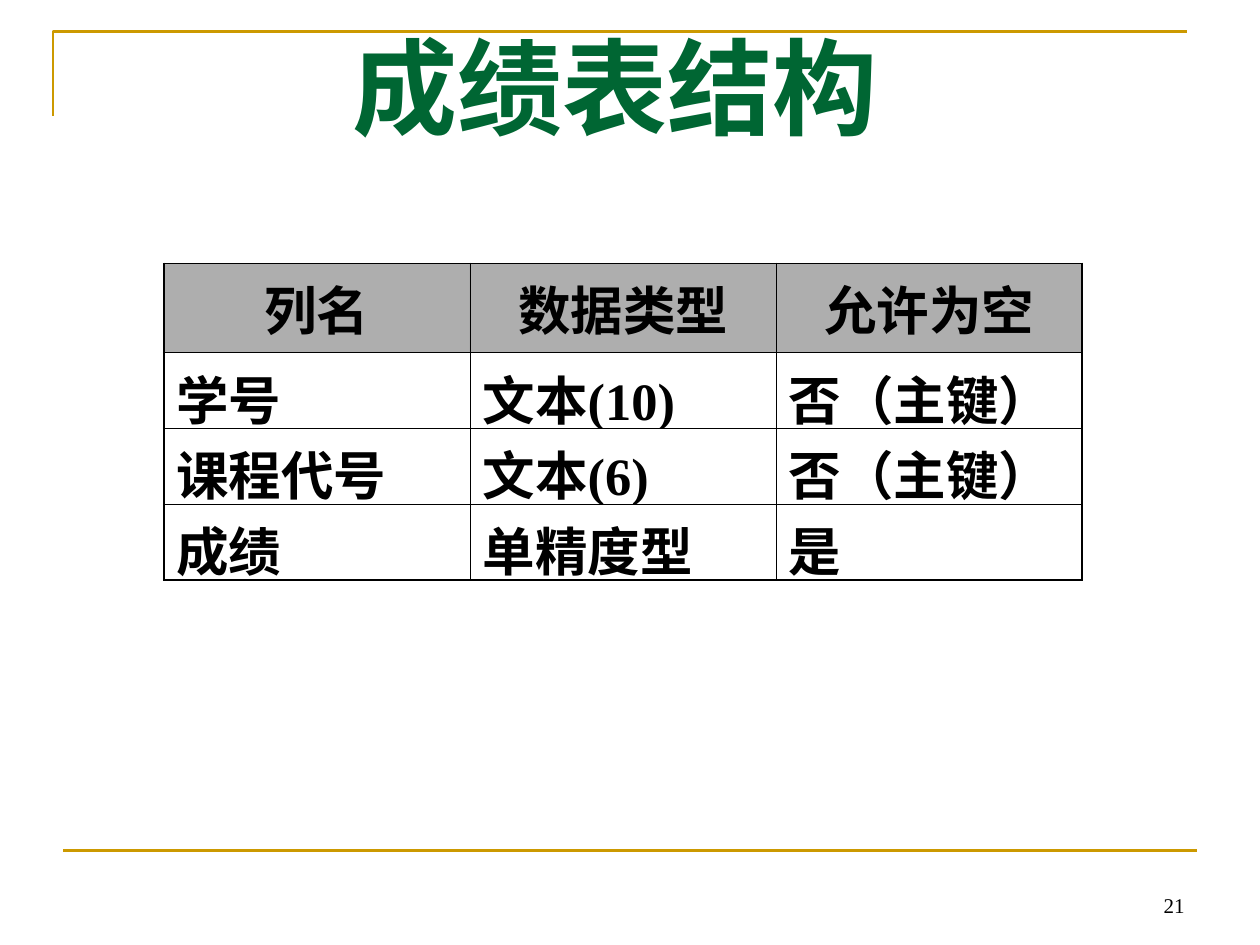
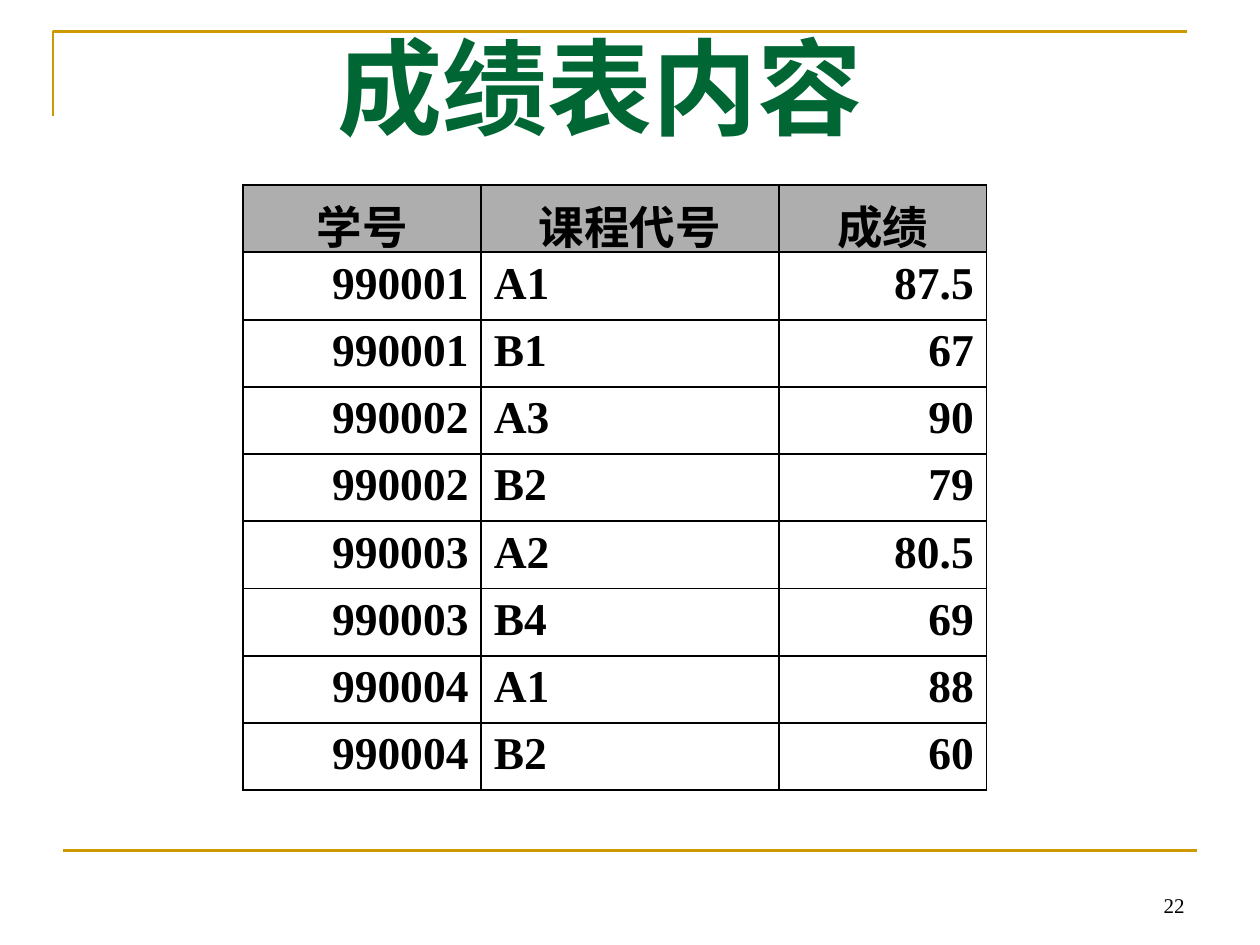
from lxml.etree import SubElement
from pptx import Presentation
from pptx.dml.color import RGBColor
from pptx.enum.shapes import MSO_CONNECTOR
from pptx.enum.text import MSO_ANCHOR, MSO_AUTO_SIZE, PP_ALIGN
from pptx.oxml.ns import qn
from pptx.util import Inches, Pt

GOLD = RGBColor(0xCC, 0x99, 0x00)
GREEN = RGBColor(0x00, 0x66, 0x33)
BLACK = RGBColor(0x00, 0x00, 0x00)
WHITE = RGBColor(0xFF, 0xFF, 0xFF)
HEADER_GREY = RGBColor(0x5F, 0x5F, 0x5F)
TITLE_FONT = "Noto Sans CJK SC"
BODY_FONT = "Times New Roman"
LEFT, CENTER, RIGHT = PP_ALIGN.LEFT, PP_ALIGN.CENTER, PP_ALIGN.RIGHT
THIN, MEDIUM, THICK = Pt(0.45), Pt(1.08), Pt(1.25)

STRUCTURE_ROWS = [
    ("列名", "数据类型", "允许为空"),
    ("学号", "文本(10)", "否（主键）"),
    ("课程代号", "文本(6)", "否（主键）"),
    ("成绩", "单精度型", "是"),
]
SCORE_ROWS = [
    ("学号", "课程代号", "成绩"),
    ("990001", "A1", "87.5"),
    ("990001", "B1", "67"),
    ("990002", "A3", "90"),
    ("990002", "B2", "79"),
    ("990003", "A2", "80.5"),
    ("990003", "B4", "69"),
    ("990004", "A1", "88"),
    ("990004", "B2", "60"),
]


def add_span(para, text, size, font=BODY_FONT, color=BLACK, bold=True):
    span = para.add_run()
    span.text = text
    span.font.name = font
    span.font.size = Pt(size)
    span.font.bold = bold
    span.font.color.rgb = color
    return span


def add_frame(page):
    builder = page.shapes.build_freeform(Inches(0.42), Inches(0.92))
    builder.add_line_segments(
        [(Inches(0.42), Inches(0.25)), (Inches(9.42), Inches(0.25))], close=False)
    corner = builder.convert_to_shape()
    corner.shadow.inherit = False
    corner.fill.background()
    rule = page.shapes.add_connector(
        MSO_CONNECTOR.STRAIGHT, Inches(0.5), Inches(6.75), Inches(9.5), Inches(6.75))
    SubElement(rule._element.spPr, qn("a:effectLst"))
    for edge in (corner, rule):
        edge.line.color.rgb = GOLD
        edge.line.width = Pt(1.5)


def add_page_number(page, number):
    box = page.shapes.add_textbox(Inches(7.17), Inches(6.83), Inches(2.33), Inches(0.5))
    box.text_frame.word_wrap = True
    box.text_frame.vertical_anchor = MSO_ANCHOR.BOTTOM
    para = box.text_frame.paragraphs[0]
    para.alignment = RIGHT
    add_span(para, str(number), 12, bold=False)


def set_title(page, text, left, width):
    title = page.shapes.title
    title.left, title.top = Inches(left), Inches(0.13)
    title.width, title.height = Inches(width), Inches(1.1)
    frame = title.text_frame
    frame.word_wrap = True
    frame.auto_size = MSO_AUTO_SIZE.SHAPE_TO_FIT_TEXT
    frame.vertical_anchor = MSO_ANCHOR.TOP
    para = frame.paragraphs[0]
    para.alignment = CENTER
    span = add_span(para, text, 60, TITLE_FONT, GREEN)
    SubElement(span.font._element, qn("a:ea"), typeface=TITLE_FONT)


def add_page(deck, number, title, left, width):
    page = deck.slides.add_slide(deck.slide_layouts[5])
    add_frame(page)
    add_page_number(page, number)
    set_title(page, title, left, width)
    return page


def set_borders(cell, widths):
    properties = cell._tc.get_or_add_tcPr()
    for position, (side, width) in enumerate(zip("LRTB", widths)):
        border = properties.makeelement(qn(f"a:ln{side}"), {"w": str(width)})
        fill = SubElement(border, qn("a:solidFill"))
        SubElement(fill, qn("a:srgbClr"), val=str(BLACK))
        properties.insert(position, border)


def fill_cell(cell, color, opacity=100):
    cell.fill.solid()
    cell.fill.fore_color.rgb = color
    if opacity < 100:
        shade = cell._tc.tcPr.find(f".//{qn('a:srgbClr')}")
        SubElement(shade, qn("a:alpha"), val=str(opacity * 1000))


def add_grid(page, rows, left, top, widths, heights, size, alignments, outer, inner,
             header_anchor):
    table = page.shapes.add_table(
        len(rows), len(widths), Inches(left), Inches(top),
        Inches(sum(widths)), Inches(sum(heights))).table
    for column, width in zip(table.columns, widths):
        column.width = Inches(width)
    for row, height in zip(table.rows, heights):
        row.height = Inches(height)
    last_row, last_column = len(rows) - 1, len(widths) - 1
    for r, texts in enumerate(rows):
        for c, text in enumerate(texts):
            cell = table.cell(r, c)
            header = r == 0
            fill_cell(cell, HEADER_GREY if header else WHITE, 50 if header else 100)
            edges = (c == 0, c == last_column, r == 0, r == last_row)
            set_borders(cell, [outer if edge else inner for edge in edges])
            cell.vertical_anchor = header_anchor if header else MSO_ANCHOR.TOP
            para = cell.text_frame.paragraphs[0]
            para.alignment = CENTER if header else alignments[c]
            add_span(para, text, size)


def main():
    deck = Presentation()
    deck.slide_width, deck.slide_height = Inches(10), Inches(7.5)

    structure = add_page(deck, 21, "成绩表结构", 2.24, 5.28)
    add_grid(structure, STRUCTURE_ROWS, 1.3, 2.09, [2.43] * 3, [0.71] + [0.6] * 3, 30,
             [LEFT] * 3, MEDIUM, THIN, MSO_ANCHOR.TOP)

    scores = add_page(deck, 22, "成绩表内容", 2.56, 4.41)
    add_grid(scores, SCORE_ROWS, 1.93, 1.47, [1.89, 2.36, 1.65], [4.8 / 9] * 9, 26,
             [RIGHT, LEFT, RIGHT], THICK, THICK, MSO_ANCHOR.MIDDLE)

    deck.save("out.pptx")


if __name__ == "__main__":
    main()
